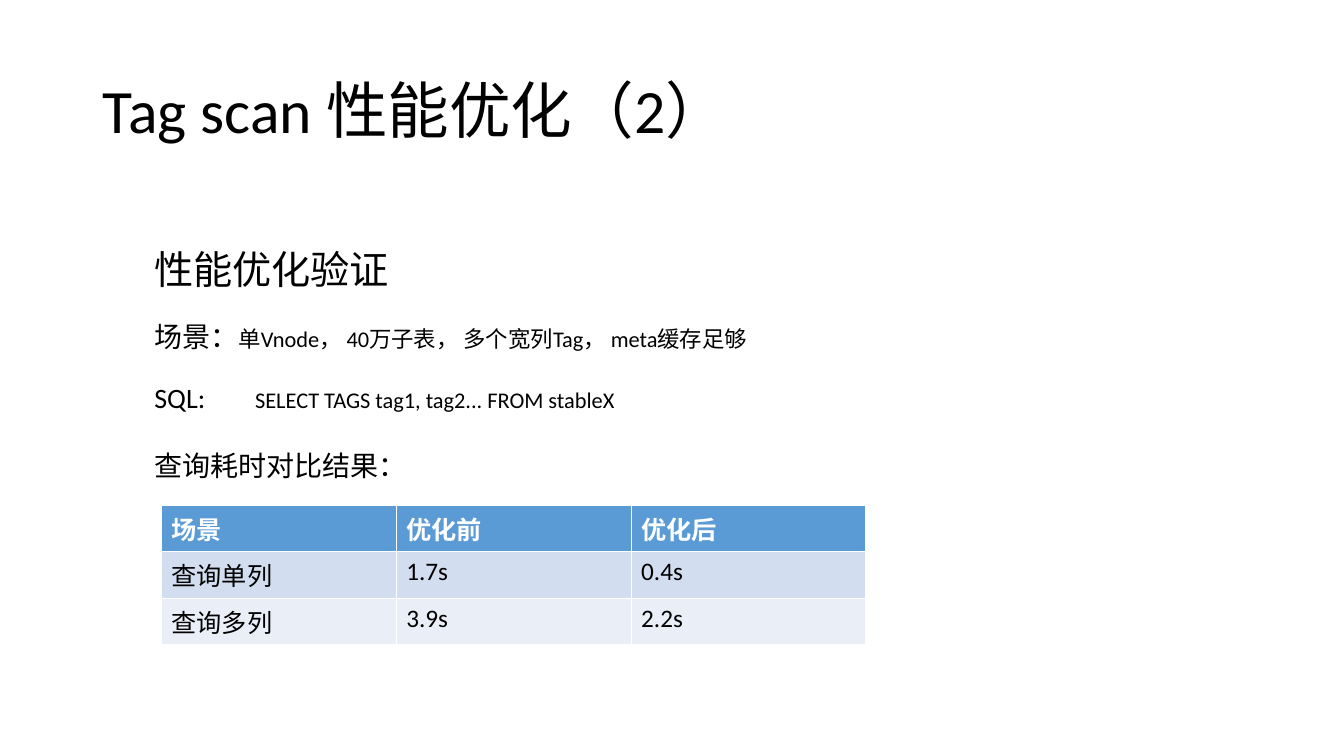
import pptx
import pptx.dml.color
import pptx.enum.text
import pptx.oxml
import pptx.oxml.ns
import pptx.util

Inches, Pt = pptx.util.Inches, pptx.util.Pt
COLORS = {"text": "000000", "header": "5B9BD5", "header_text": "FFFFFF",
          "odd_row": "D2DEEF", "even_row": "EAEFF7"}
FONT = "Calibri"


def rgb(name):
    return pptx.dml.color.RGBColor.from_string(COLORS[name])


def format_span(span, size, color="text", bold=False):
    span.font.name = FONT
    span.font.size = Pt(size)
    span.font.bold = bold
    span.font.color.rgb = rgb(color)


deck = pptx.Presentation()
deck.slide_width, deck.slide_height = Inches(13.33), Inches(7.5)
page = deck.slides.add_slide(deck.slide_layouts[1])

# Title
title = page.shapes.title
title.left, title.top, title.width, title.height = map(Inches, (0.92, 0.4, 11.5, 1.45))
title.text_frame.text = "Tag scan 性能优化（2）"
title.text_frame.auto_size = pptx.enum.text.MSO_AUTO_SIZE.NONE
title.text_frame.vertical_anchor = pptx.enum.text.MSO_ANCHOR.MIDDLE
heading = title.text_frame.paragraphs[0]
heading.alignment = pptx.enum.text.PP_ALIGN.LEFT
heading.line_spacing = 0.9
format_span(heading.runs[0], 44)

# Test description: line spacing and (text, size) pairs; the tab lines up the query
body = page.placeholders[1]
body.left, body.top, body.width, body.height = map(Inches, (1.43, 2.1, 9.67, 4.62))
body.text_frame.auto_size = pptx.enum.text.MSO_AUTO_SIZE.NONE
lines = [
    (1.6, [("性能优化验证", 28)]),
    (1.4, [("场景：", 20), ("单Vnode， 40万子表， 多个宽列Tag， meta缓存足够", 16)]),
    (1.4, [("SQL:\t", 20), ("SELECT TAGS tag1, tag2... FROM stableX", 16)]),
    (1.6, [("查询耗时对比结果：", 20)]),
]
namespace = pptx.oxml.ns.nsdecls("a")
for index, (spacing, spans) in enumerate(lines):
    para = body.text_frame.add_paragraph() if index else body.text_frame.paragraphs[0]
    properties = para._p.get_or_add_pPr()
    properties.set("marL", "0")
    properties.set("indent", "0")
    properties.append(pptx.oxml.parse_xml(f"<a:buNone {namespace}/>"))
    if "\t" in spans[0][0]:
        properties.append(pptx.oxml.parse_xml(
            f'<a:tabLst {namespace}><a:tab pos="{Inches(0.82)}" algn="l"/></a:tabLst>'))
    para.line_spacing = spacing
    para.space_before = Pt(10 if index else 0)
    for text, size in spans:
        span = para.add_run()
        span.text = text
        format_span(span, size)

# Query times
results = [
    ("场景", "优化前", "优化后"),
    ("查询单列", "1.7s", "0.4s"),
    ("查询多列", "3.9s", "2.2s"),
]
fills = ["header", "odd_row", "even_row"]
table = page.shapes.add_table(3, 3, Inches(1.6), Inches(5.01),
                              Inches(6.99), Inches(1.26)).table
for row, (values, fill) in enumerate(zip(results, fills)):
    for column, value in enumerate(values):
        cell = table.cell(row, column)
        cell.text_frame.text = value
        cell.fill.solid()
        cell.fill.fore_color.rgb = rgb(fill)
        format_span(cell.text_frame.paragraphs[0].runs[0], 18,
                    "text" if row else "header_text", bold=row == 0)

deck.save("out.pptx")
